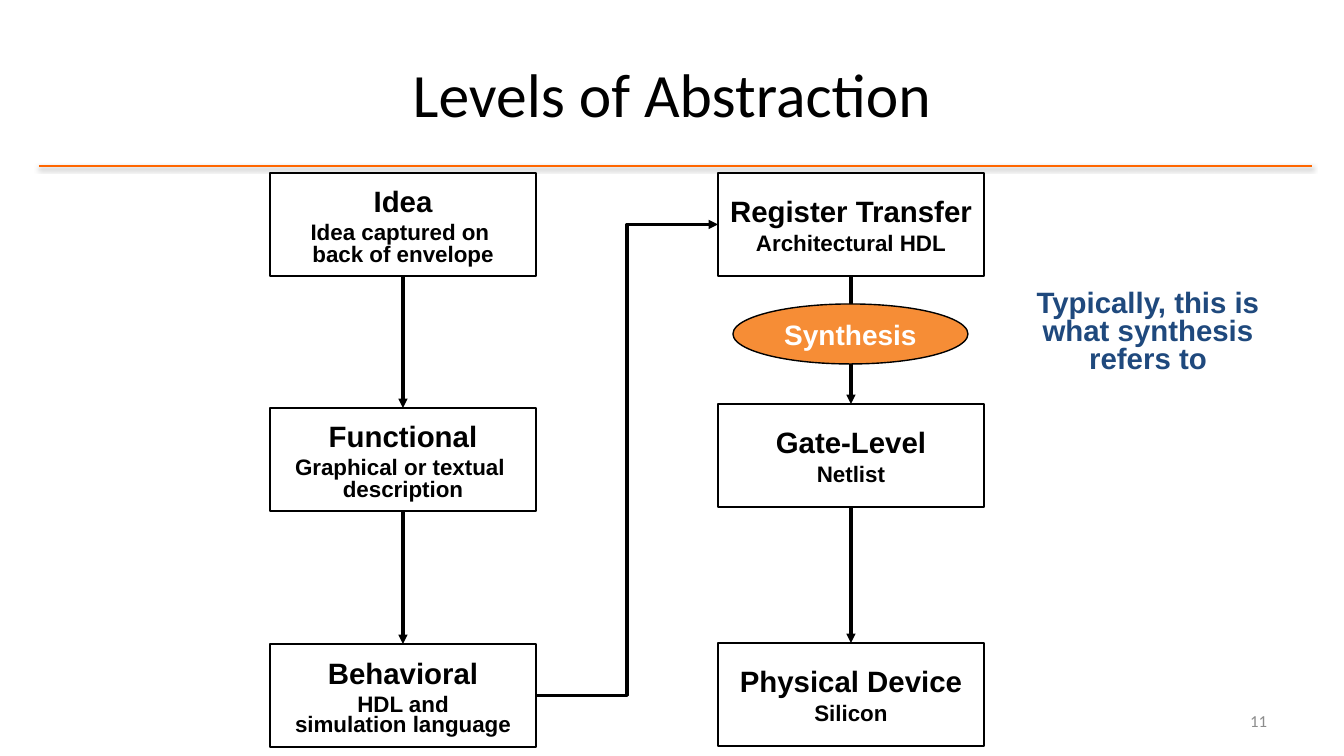
from dataclasses import dataclass

from lxml.etree import SubElement
from pptx import Presentation
from pptx.dml.color import RGBColor
from pptx.enum.shapes import MSO_CONNECTOR, MSO_SHAPE
from pptx.enum.text import MSO_ANCHOR, PP_ALIGN
from pptx.oxml.ns import qn
from pptx.shapes.autoshape import Shape
from pptx.shapes.connector import Connector
from pptx.slide import Slide
from pptx.text.text import TextFrame
from pptx.util import Emu, Pt

PX_PER_INCH = 100.8
BLACK = RGBColor(0x00, 0x00, 0x00)
WHITE = RGBColor(0xFF, 0xFF, 0xFF)
GRAY = RGBColor(0x8C, 0x8C, 0x8C)
NAVY = RGBColor(0x1F, 0x49, 0x7D)
ORANGE = RGBColor(0xF6, 0x8D, 0x36)
RULE_ORANGE = RGBColor(0xFF, 0x66, 0x00)

BOX_WIDTH, BOX_HEIGHT = 266, 103
LEFT_COLUMN, RIGHT_COLUMN = 270, 718
TOP, LEFT, BOTTOM, RIGHT = range(4)


def px(length: int) -> Emu:
    return Emu(round(length * 914400 / PX_PER_INCH))


@dataclass(frozen=True)
class Area:
    left: int
    top: int
    width: int
    height: int

    def emu(self) -> tuple[Emu, Emu, Emu, Emu]:
        return px(self.left), px(self.top), px(self.width), px(self.height)


@dataclass(frozen=True)
class Style:
    size: float
    color: RGBColor = BLACK
    font: str = "Arial"
    bold: bool = True
    align: PP_ALIGN = PP_ALIGN.CENTER


@dataclass(frozen=True)
class Line:
    text: str
    style: Style
    spacing: float = 1.0


@dataclass(frozen=True)
class Level:
    name: str
    left: int
    top: int
    details: tuple[str, ...]
    last_spacing: float = 1.0


@dataclass(frozen=True)
class Link:
    start: str
    end: str
    start_side: int = BOTTOM
    end_side: int = TOP
    kind: MSO_CONNECTOR = MSO_CONNECTOR.STRAIGHT


HEADING = Style(21)
DETAIL = Style(16)

LEVELS = [
    Level("Idea", LEFT_COLUMN, 173, ("Idea captured on ", "back of envelope"), 0.8),
    Level("Functional", LEFT_COLUMN, 408, ("Graphical or textual ", "description"), 0.8),
    Level("Behavioral", LEFT_COLUMN, 644, ("HDL and", "simulation language"), 0.7),
    Level("Register Transfer", RIGHT_COLUMN, 173, ("Architectural HDL",)),
    Level("Gate-Level", RIGHT_COLUMN, 404, ("Netlist",)),
    Level("Physical Device", RIGHT_COLUMN, 643, ("Silicon",)),
]

LINKS = [
    Link("Behavioral", "Register Transfer", RIGHT, LEFT, MSO_CONNECTOR.ELBOW),
    Link("Idea", "Functional"),
    Link("Functional", "Behavioral"),
    Link("Register Transfer", "Gate-Level"),
    Link("Gate-Level", "Physical Device"),
]


def write_lines(frame: TextFrame, lines: list[Line], anchor: MSO_ANCHOR, wrap: bool = True) -> None:
    frame.word_wrap = wrap
    frame.vertical_anchor = anchor
    for index, line in enumerate(lines):
        para = frame.add_paragraph() if index else frame.paragraphs[0]
        para.alignment = line.style.align
        para.line_spacing = line.spacing
        span = para.add_run()
        span.text = line.text
        span.font.name = line.style.font
        span.font.size = Pt(line.style.size)
        span.font.bold = line.style.bold
        span.font.color.rgb = line.style.color


def add_text(page: Slide, area: Area, line: Line, anchor: MSO_ANCHOR = MSO_ANCHOR.MIDDLE) -> None:
    box = page.shapes.add_textbox(*area.emu())
    write_lines(box.text_frame, [line], anchor)


def add_outlined(page: Slide, kind: MSO_SHAPE, area: Area) -> Shape:
    shape = page.shapes.add_shape(kind, *area.emu())
    shape.shadow.inherit = False
    shape.fill.background()
    shape.line.color.rgb = BLACK
    shape.line.width = Pt(1)
    return shape


def add_level(page: Slide, level: Level) -> Shape:
    box = add_outlined(page, MSO_SHAPE.RECTANGLE, Area(level.left, level.top, BOX_WIDTH, BOX_HEIGHT))
    lines = [Line(level.name, HEADING)]
    for detail in level.details:
        spacing = level.last_spacing if detail == level.details[-1] else 1.0
        lines.append(Line(detail, DETAIL, spacing))
    write_lines(box.text_frame, lines, MSO_ANCHOR.MIDDLE)
    return box


def add_link(page: Slide, link: Link, boxes: dict[str, Shape]) -> None:
    connector = page.shapes.add_connector(link.kind, 0, 0, 0, 0)
    connector.begin_connect(boxes[link.start], link.start_side)
    connector.end_connect(boxes[link.end], link.end_side)
    connector.line.color.rgb = BLACK
    connector.line.width = Pt(2.25)
    outline = connector.line._get_or_add_ln()
    SubElement(outline, qn("a:tailEnd"), type="triangle")
    add_effects(connector)


def add_effects(connector: Connector, shadow: bool = False) -> None:
    effects = SubElement(connector._element.spPr, qn("a:effectLst"))
    if shadow:
        outer = SubElement(effects, qn("a:outerShdw"), blurRad=str(Pt(3.1)), dist=str(Pt(1.6)),
                           dir="5400000", rotWithShape="0")
        color = SubElement(outer, qn("a:srgbClr"), val=str(BLACK))
        SubElement(color, qn("a:alpha"), val="38000")


def add_rule(page: Slide) -> None:
    rule = page.shapes.add_connector(MSO_CONNECTOR.STRAIGHT, px(39), px(166), px(1312), px(166))
    rule.line.color.rgb = RULE_ORANGE
    rule.line.width = Pt(2)
    add_effects(rule, shadow=True)


def main() -> None:
    deck = Presentation()
    deck.slide_width, deck.slide_height = px(1344), px(756)
    page = deck.slides.add_slide(deck.slide_layouts[6])

    # Heading, rule and page number
    add_rule(page)
    add_text(page, Area(67, 30, 1210, 126),
             Line("Levels of Abstraction", Style(44, font="Calibri", bold=False)))
    add_text(page, Area(964, 701, 313, 40),
             Line("11", Style(12, GRAY, "Calibri", False, PP_ALIGN.RIGHT)))

    # Side remark
    add_text(page, Area(1001, 286, 294, 96),
             Line("Typically, this is what synthesis refers to", Style(21, NAVY), 0.8),
             MSO_ANCHOR.TOP)

    # Abstraction levels and the flow between them
    boxes = {level.name: add_level(page, level) for level in LEVELS}
    for link in LINKS:
        add_link(page, link, boxes)

    # Synthesis step on top of its arrow
    synthesis = add_outlined(page, MSO_SHAPE.OVAL, Area(733, 304, 235, 60))
    synthesis.fill.solid()
    synthesis.fill.fore_color.rgb = ORANGE
    write_lines(synthesis.text_frame, [Line("Synthesis", Style(20, WHITE))],
                MSO_ANCHOR.MIDDLE, wrap=False)

    deck.save("out.pptx")


if __name__ == "__main__":
    main()
